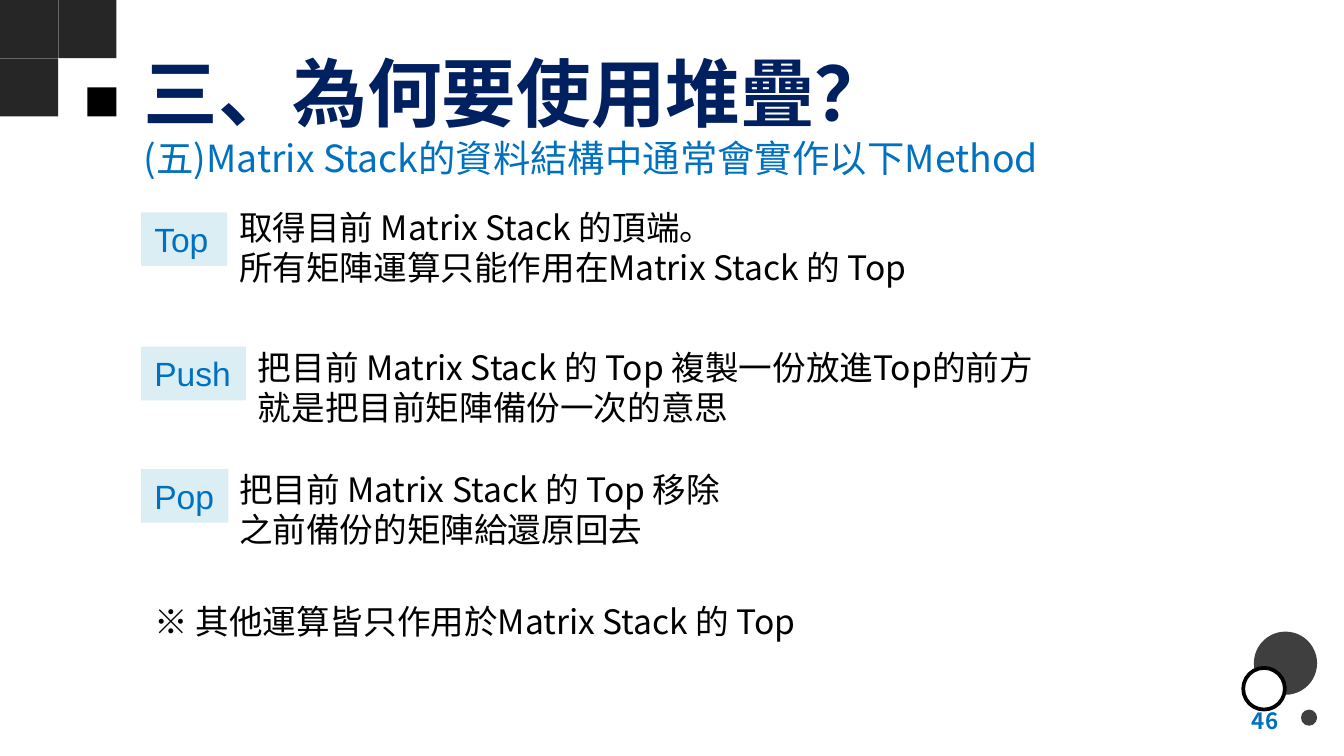
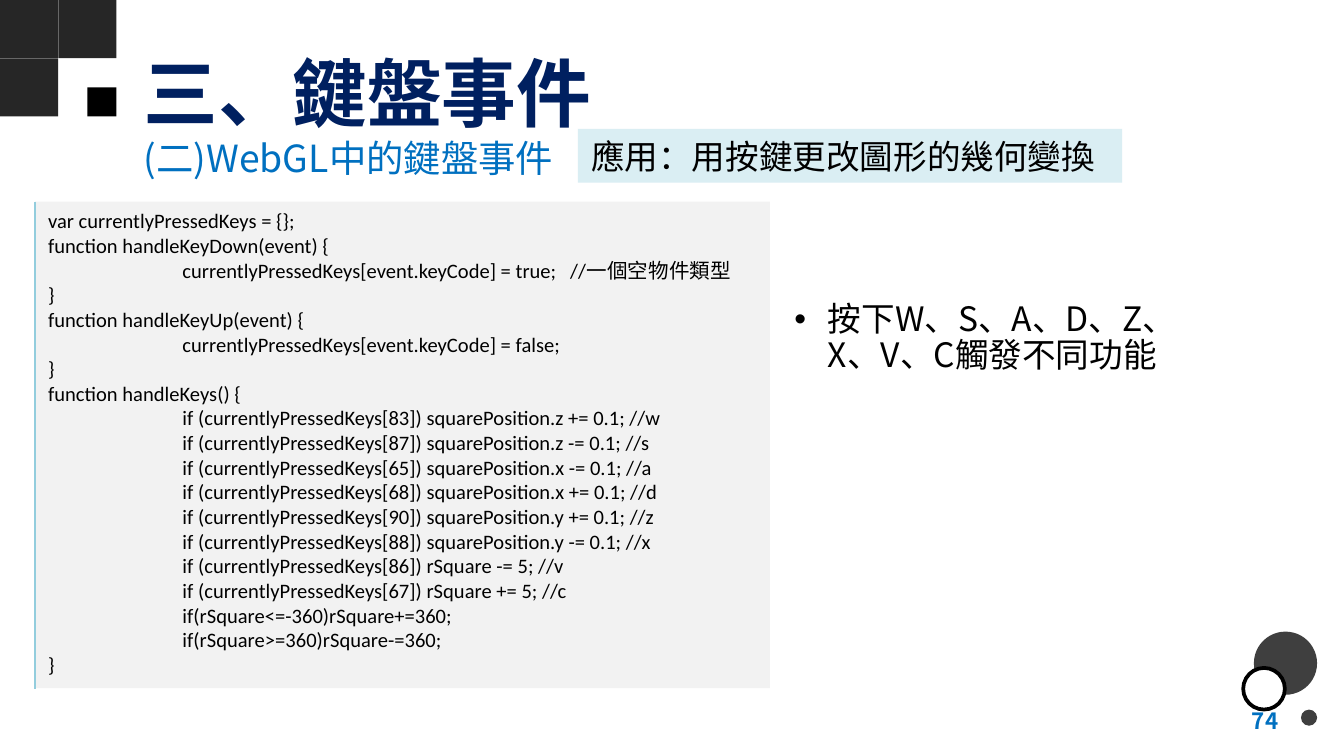
from dataclasses import dataclass

from lxml.etree import SubElement
from pptx import Presentation
from pptx.dml.color import RGBColor as RGB
from pptx.enum.shapes import MSO_CONNECTOR as Connector, MSO_SHAPE as Shape
from pptx.enum.text import MSO_ANCHOR as Anchor, PP_ALIGN as Align
from pptx.oxml.ns import qn
from pptx.util import Inches, Pt


@dataclass(frozen=True)
class Theme:
    corner: str = "262626"
    black: str = "000000"
    white: str = "FFFFFF"
    bubble: str = "3F3F3F"
    navy: str = "002060"
    blue: str = "0070C0"
    pale_blue: str = "DAEEF3"
    code_back: str = "F2F2F2"
    code_edge: str = "93CDDD"
    cjk: str = "Noto Sans CJK TC"
    title_size: int = 40
    subtitle_size: int = 20
    body_size: int = 18
    number_size: int = 12
    code_size: int = 11


theme = Theme()
STYLES = {
    "title": (dict(name=theme.cjk, size=Pt(theme.title_size), bold=True), theme.navy),
    "subtitle": (dict(name=theme.cjk, size=Pt(theme.subtitle_size)), theme.blue),
    "body": (dict(name=theme.cjk, size=Pt(theme.body_size)), theme.black),
    "method": (dict(name="Arial", size=Pt(theme.body_size)), theme.blue),
    "number": (dict(name=theme.cjk, size=Pt(theme.number_size), bold=True), theme.blue),
    "code": (dict(name="Calibri", size=Pt(theme.code_size)), theme.black),
}


def add_block(shapes, kind, box, fill, outline=None):
    """Add a filled preset shape, without an outline unless one is given."""
    block = shapes.add_shape(kind, *map(Inches, box))
    block.shadow.inherit = False
    block.fill.solid()
    block.fill.fore_color.rgb = RGB.from_string(fill)
    if outline:
        block.line.color.rgb = RGB.from_string(outline)
        block.line.width = Pt(2)
    else:
        block.line.fill.background()
    return block


def write(holder, text, style, anchor=Anchor.TOP, align=Align.LEFT, wrap=True):
    """Write one paragraph per line of text in the named style."""
    frame = holder.text_frame
    frame_format = dict(word_wrap=wrap, vertical_anchor=anchor,
                        margin_left=Inches(0.1), margin_right=Inches(0.1),
                        margin_top=Inches(0.05), margin_bottom=Inches(0.05))
    for name, value in frame_format.items():
        setattr(frame, name, value)
    font_format, color = STYLES[style]
    for index, line in enumerate(text.split("\n")):
        paragraph = frame.paragraphs[0] if index == 0 else frame.add_paragraph()
        paragraph.alignment = align
        run = paragraph.add_run()
        run.text = line
        for name, value in font_format.items():
            setattr(run.font, name, value)
        run.font.color.rgb = RGB.from_string(color)
        east_asian = theme.cjk if style == "code" else font_format["name"]
        SubElement(run.font._element, qn("a:ea")).set("typeface", east_asian)
    return frame


deck = Presentation()
deck.slide_width, deck.slide_height = Inches(10), Inches(10 * 9 / 16)

# Shared frame: title, corner squares, bubbles, page number, subtitle
PAGES = [
    ("三、為何要使用堆疊？", 6.55, "46",
     "(五)Matrix Stack的資料結構中通常會實作以下Method", 9.18),
    ("三、鍵盤事件", 6.39, "74", "(二)WebGL中的鍵盤事件", 3.73),
]
SQUARE = 1.3 / 3
BUBBLES = [
    (9.33, 4.7, 0.47, theme.bubble, None),
    (9.68, 5.28, 0.12, theme.bubble, None),
    (9.25, 4.97, 0.31, theme.white, theme.black),
]
slides = []
for title, title_width, number, subtitle, subtitle_width in PAGES:
    slide = deck.slides.add_slide(deck.slide_layouts[6])
    slides.append(slide)
    heading = slide.shapes.add_textbox(*map(Inches, (0.97, 0.21, title_width, 0.94)))
    write(heading, title, "title", anchor=Anchor.MIDDLE)

    corner = slide.shapes.add_group_shape().shapes
    for column, row in [(0, 0), (1, 0), (0, 1)]:
        add_block(corner, Shape.RECTANGLE,
                  (column * SQUARE, row * SQUARE, SQUARE, SQUARE), theme.corner)
    add_block(corner, Shape.RECTANGLE,
              (SQUARE * 1.5, SQUARE * 1.5, SQUARE / 2, SQUARE / 2), theme.black)

    bubbles = slide.shapes.add_group_shape().shapes
    for left, top, diameter, fill, outline in BUBBLES:
        add_block(bubbles, Shape.OVAL, (left, top, diameter, diameter), fill, outline)

    page_number = slide.shapes.add_textbox(*map(Inches, (7.28, 5.21, 2.33, 0.3)))
    write(page_number, number, "number", anchor=Anchor.MIDDLE, align=Align.RIGHT)
    subheading = slide.shapes.add_textbox(*map(Inches, (0.97, 0.96, subtitle_width, 0.44)))
    write(subheading, subtitle, "subtitle")

stack_slide, keyboard_slide = slides

# Stack methods: label and explanation
METHODS = [
    ("Top", 1.58, 0.64, (1.68, 1.49, 5.65, 0.71),
     "取得目前 Matrix Stack 的頂端。\n所有矩陣運算只能作用在Matrix Stack 的 Top"),
    ("Push", 2.58, 0.78, (1.82, 2.53, 6.28, 0.71),
     "把目前 Matrix Stack 的 Top 複製一份放進Top的前方\n就是把目前矩陣備份一次的意思"),
    ("Pop", 3.49, 0.65, (1.68, 3.44, 6.28, 0.71),
     "把目前 Matrix Stack 的 Top 移除\n之前備份的矩陣給還原回去"),
]
for method, top, width, explanation_box, explanation in METHODS:
    label = add_block(stack_slide.shapes, Shape.RECTANGLE,
                      (1.05, top, width, 0.4), theme.pale_blue)
    write(label, method, "method", wrap=False)
    write(stack_slide.shapes.add_textbox(*map(Inches, explanation_box)), explanation, "body")

# Closing remark
remark = stack_slide.shapes.add_textbox(*map(Inches, (1.05, 4.42, 6.28, 0.4)))
write(remark, "※ 其他運算皆只作用於Matrix Stack 的 Top", "body")

# Code listing, indented by a tab stop, with its left edge
CODE = """var currentlyPressedKeys = {};
function handleKeyDown(event) {
\tcurrentlyPressedKeys[event.keyCode] = true;   //一個空物件類型
}
function handleKeyUp(event) {
\tcurrentlyPressedKeys[event.keyCode] = false;
}
function handleKeys() {
\tif (currentlyPressedKeys[83]) squarePosition.z += 0.1; //w
\tif (currentlyPressedKeys[87]) squarePosition.z -= 0.1; //s
\tif (currentlyPressedKeys[65]) squarePosition.x -= 0.1; //a
\tif (currentlyPressedKeys[68]) squarePosition.x += 0.1; //d
\tif (currentlyPressedKeys[90]) squarePosition.y += 0.1; //z
\tif (currentlyPressedKeys[88]) squarePosition.y -= 0.1; //x
\tif (currentlyPressedKeys[86]) rSquare -= 5; //v
\tif (currentlyPressedKeys[67]) rSquare += 5; //c
\tif(rSquare<=-360)rSquare+=360;
\tif(rSquare>=360)rSquare-=360;
}"""
listing = keyboard_slide.shapes.add_group_shape().shapes
code = add_block(listing, Shape.RECTANGLE, (0.26, 1.5, 5.47, 3.62), theme.code_back)
for paragraph in write(code, CODE, "code").paragraphs:
    tab_stops = SubElement(paragraph._p.get_or_add_pPr(), qn("a:tabLst"))
    SubElement(tab_stops, qn("a:tab"), pos=str(Inches(1)), algn="l")
edge = listing.add_connector(Connector.STRAIGHT, *map(Inches, (0.26, 1.5, 0.26, 5.13)))
edge.line.color.rgb = RGB.from_string(theme.code_edge)
edge.line.width = Pt(0.75)
SubElement(edge._element.spPr, qn("a:effectLst"))

# Application banner
banner = add_block(keyboard_slide.shapes, Shape.RECTANGLE,
                   (4.3, 0.96, 4.05, 0.4), theme.pale_blue)
write(banner, "應用：用按鍵更改圖形的幾何變換", "body")

# Bulleted key list
keys = keyboard_slide.shapes.add_textbox(*map(Inches, (5.84, 2.21, 3.36, 1.1)))
keys_frame = write(keys, "按下W、S、A、D、Z、X、V、C觸發不同功能", "body")
keys_margins = dict(margin_left=0.07, margin_right=0.07, margin_top=0.04, margin_bottom=0.04)
for name, value in keys_margins.items():
    setattr(keys_frame, name, Inches(value))
bullet = keys_frame.paragraphs[0]
bullet.line_spacing = 0.9
properties = bullet._p.get_or_add_pPr()
properties.set("marL", str(Inches(0.25)))
properties.set("indent", str(-Inches(0.25)))
bullet_color = SubElement(properties, qn("a:buClr"))
SubElement(bullet_color, qn("a:srgbClr")).set("val", theme.black)
SubElement(properties, qn("a:buFont")).set("typeface", "Arial")
SubElement(properties, qn("a:buChar")).set("char", "•")

deck.save("out.pptx")
